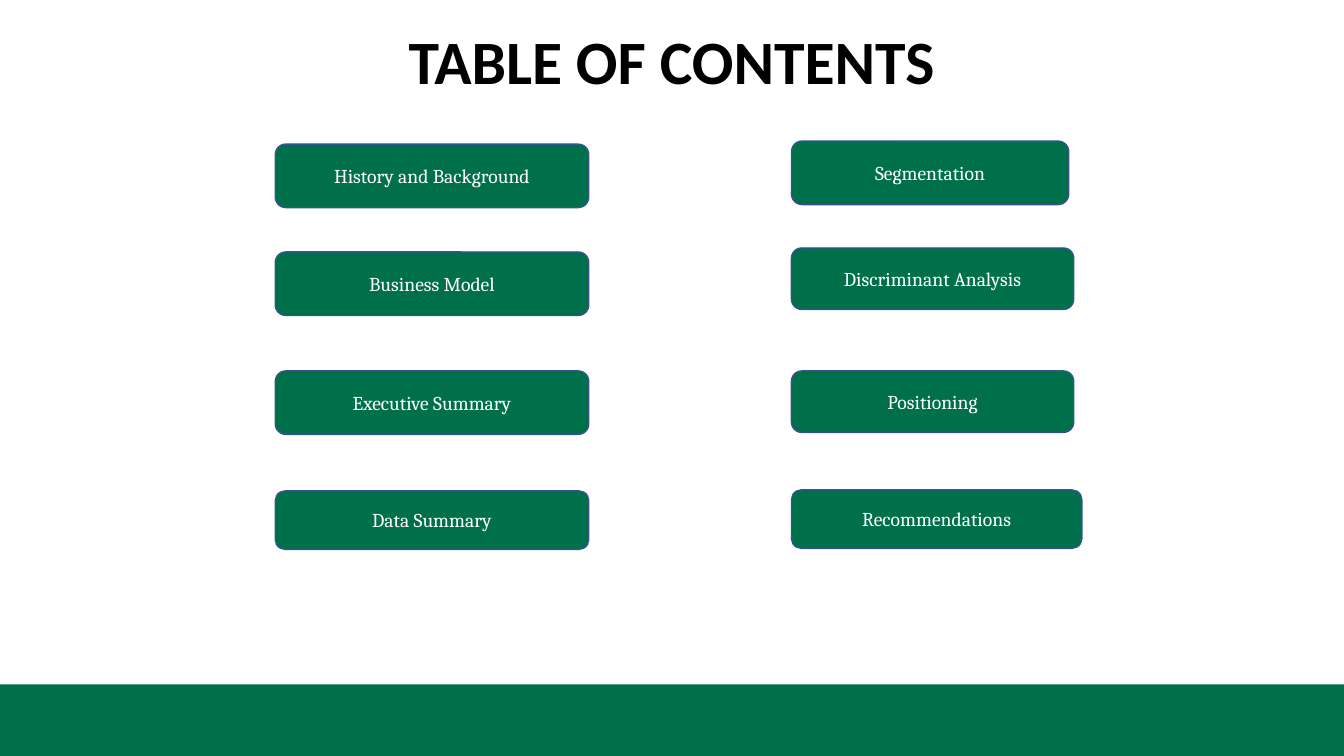
from pptx import Presentation
from pptx.dml.color import RGBColor
from pptx.enum.shapes import MSO_SHAPE
from pptx.enum.text import MSO_ANCHOR, PP_ALIGN
from pptx.util import Inches, Pt

THEME = {
    "green": RGBColor.from_string("00704A"),
    "outline": RGBColor.from_string("325491"),
    "title": {"name": "Calibri", "size": Pt(44), "bold": True},
    "title_color": RGBColor.from_string("000000"),
    "topic": {"name": "Cambria", "size": Pt(14), "bold": False},
    "topic_color": RGBColor.from_string("FFFFFF"),
}


def write_centred(shape, text, style):
    frame = shape.text_frame
    frame.text = text
    frame.word_wrap = True
    frame.vertical_anchor = MSO_ANCHOR.MIDDLE
    paragraph = frame.paragraphs[0]
    paragraph.alignment = PP_ALIGN.CENTER
    font = paragraph.runs[0].font
    for attribute, value in THEME[style].items():
        setattr(font, attribute, value)
    font.color.rgb = THEME[f"{style}_color"]


def add_green_shape(kind, left, top, width, height):
    shape = slide.shapes.add_shape(
        kind, Inches(left), Inches(top), Inches(width), Inches(height))
    shape.shadow.inherit = False
    shape.fill.solid()
    shape.fill.fore_color.rgb = THEME["green"]
    return shape


presentation = Presentation()
presentation.slide_width = Inches(13.33)
presentation.slide_height = Inches(7.5)
slide = presentation.slides.add_slide(presentation.slide_layouts[5])

footer_band = add_green_shape(MSO_SHAPE.RECTANGLE, 0, 6.79, 13.33, 0.71)
footer_band.line.fill.background()

title = slide.shapes.title
title_box = {"left": 0, "top": 0.17, "width": 13.33, "height": 0.84}
for side, length in title_box.items():
    setattr(title, side, Inches(length))
write_centred(title, "TABLE OF CONTENTS", "title")

# Each column: left edge, then topics as (text, top, width, height)
columns = [
    (2.73, [
        ("History and Background", 1.43, 3.11, 0.63),
        ("Business Model", 2.5, 3.11, 0.63),
        ("Executive Summary", 3.68, 3.11, 0.63),
        ("Data Summary", 4.87, 3.11, 0.58),
    ]),
    (7.85, [
        ("Segmentation", 1.4, 2.75, 0.63),
        ("Discriminant Analysis", 2.46, 2.8, 0.61),
        ("Positioning", 3.68, 2.8, 0.61),
        ("Recommendations", 4.86, 2.88, 0.58),
    ]),
]
for left, topics in columns:
    for text, top, width, height in topics:
        topic = add_green_shape(
            MSO_SHAPE.ROUNDED_RECTANGLE, left, top, width, height)
        topic.line.color.rgb = THEME["outline"]
        topic.line.width = Pt(1)
        write_centred(topic, text, "topic")

presentation.save("out.pptx")
